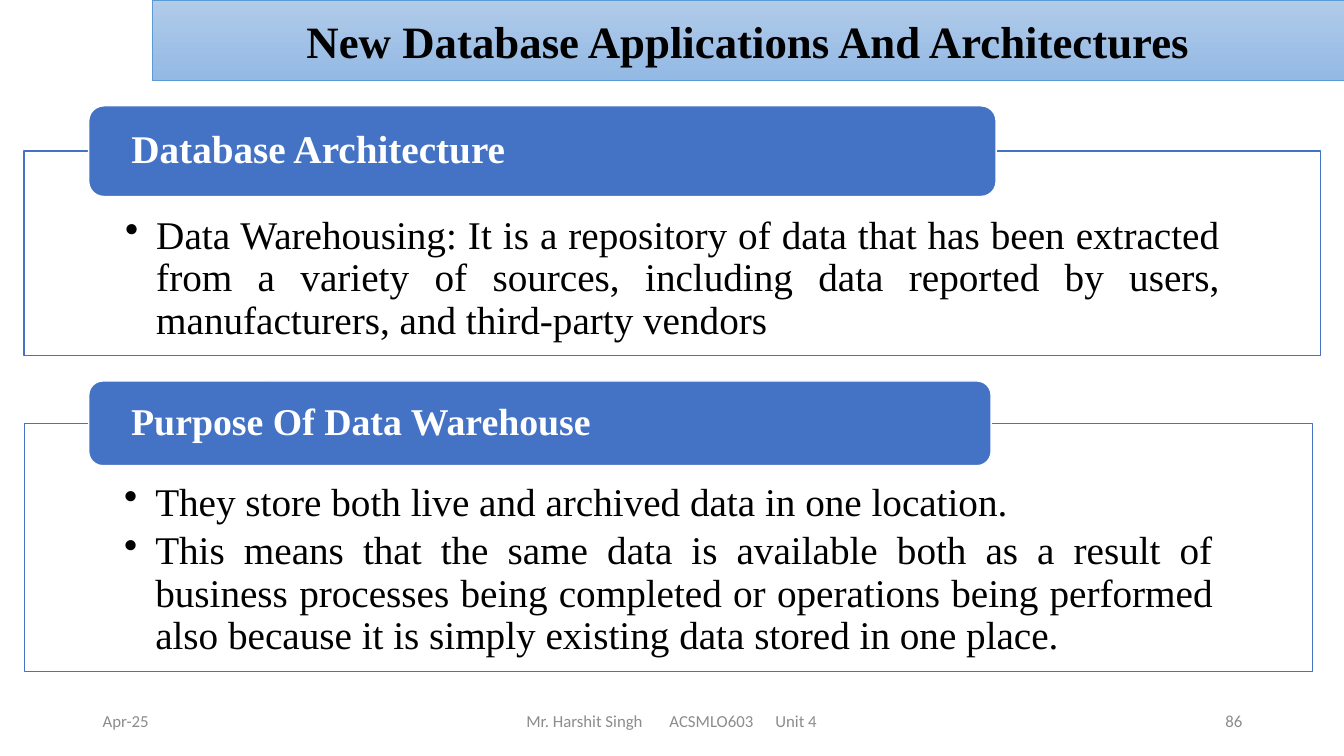
from pptx import Presentation
from pptx.dml.color import RGBColor
from pptx.enum.shapes import MSO_SHAPE
from pptx.enum.text import MSO_ANCHOR, PP_ALIGN
from pptx.oxml.ns import qn
from pptx.util import Inches, Pt
from lxml import etree

RECT, ROUNDED = MSO_SHAPE.RECTANGLE, MSO_SHAPE.ROUNDED_RECTANGLE
TOP, MIDDLE = MSO_ANCHOR.TOP, MSO_ANCHOR.MIDDLE
LEFT, CENTER, RIGHT, JUSTIFY = PP_ALIGN.LEFT, PP_ALIGN.CENTER, PP_ALIGN.RIGHT, PP_ALIGN.JUSTIFY

BLACK = RGBColor(0x00, 0x00, 0x00)
WHITE = RGBColor(0xFF, 0xFF, 0xFF)
GRAY = RGBColor(0x8C, 0x8C, 0x8C)
BLUE = RGBColor(0x44, 0x72, 0xC4)
TITLE_EDGE = RGBColor(0x5B, 0x9B, 0xD5)
TITLE_GRADIENT = (RGBColor(0xB1, 0xCB, 0xE9), RGBColor(0x93, 0xB9, 0xE4))
SERIF, SANS = "Times New Roman", "Calibri"

TITLE = "New Database Applications And Architectures"
SECTIONS = [
    {
        "heading": "Database Architecture",
        "heading_size": 28,
        "tab": (0.88, 1.05, 9, 0.9),
        "panel": (0.24, 1.5, 12.86, 2.03),
        "insets": (1, 0.64, 1, 0.22),
        "points": [
            "Data Warehousing: It is a repository of data that has been extracted from a "
            "variety of sources, including data reported by users, manufacturers, and "
            "third-party vendors",
        ],
    },
    {
        "heading": "Purpose Of Data Warehouse",
        "heading_size": 27,
        "tab": (0.88, 3.78, 8.95, 0.84),
        "panel": (0.24, 4.2, 12.78, 2.46),
        "insets": (0.99, 0.59, 0.99, 0.22),
        "points": [
            "They store both live and archived data in one location.",
            "This means that the same data is available both as a result of business "
            "processes being completed or operations being performed also because it is "
            "simply existing data stored in one place.",
        ],
    },
]
FOOTER_TOP, FOOTER_HEIGHT = 6.95, 0.4
# text, left, width, alignment, left inset, tab stops
FOOTERS = [
    ("Apr-25", 0.92, 3, LEFT, 0.1, ()),
    ("86", 9.42, 3, RIGHT, 0.1, ()),
    ("Mr. Harshit Singh\tACSMLO603\tUnit 4", 4.42, 4.5, LEFT, 0.8, (1.42, 2.47)),
]
INDENT = Inches(0.31)


def add_box(slide, kind, at, line_color, line_width):
    box = slide.shapes.add_shape(kind, *map(Inches, at))
    box.shadow.inherit = False
    box.line.color.rgb = line_color
    box.line.width = Pt(line_width)
    return box


def fill_solid(box, color):
    box.fill.solid()
    box.fill.fore_color.rgb = color


def set_frame(frame, anchor, insets):
    frame.word_wrap = True
    frame.vertical_anchor = anchor
    for side, inset in zip(("left", "top", "right", "bottom"), insets):
        setattr(frame, f"margin_{side}", Inches(inset))


def write(paragraph, text, font, align=LEFT, **spacing):
    paragraph.text = text
    paragraph.alignment = align
    for name, value in spacing.items():
        setattr(paragraph, name, value)
    for name, value in font.items():
        if name == "color":
            paragraph.font.color.rgb = value
        else:
            setattr(paragraph.font, name, value)


def add_bullet(paragraph):
    props = paragraph._p.get_or_add_pPr()
    props.set("marL", str(INDENT))
    props.set("indent", str(-INDENT))
    etree.SubElement(props, qn("a:buChar"), char="•")


def add_tab_stops(paragraph, stops):
    tabs = etree.SubElement(paragraph._p.get_or_add_pPr(), qn("a:tabLst"))
    for stop in stops:
        etree.SubElement(tabs, qn("a:tab"), pos=str(Inches(stop)), algn="l")


def add_title(slide):
    banner = add_box(slide, RECT, (1.51, 0, 11.82, 0.8), TITLE_EDGE, 0.5)
    banner.fill.gradient()
    banner.fill.gradient_angle = 270
    for stop, color in zip(banner.fill.gradient_stops, TITLE_GRADIENT):
        stop.color.rgb = color
    set_frame(banner.text_frame, MIDDLE, (0.1, 0.05, 0.1, 0.05))
    font = {"name": SERIF, "size": Pt(32), "bold": True, "color": BLACK}
    write(banner.text_frame.paragraphs[0], TITLE, font, CENTER)


def add_section(slide, section):
    panel = add_box(slide, RECT, section["panel"], BLUE, 1)
    fill_solid(panel, WHITE)
    frame = panel.text_frame
    set_frame(frame, TOP, section["insets"])
    font = {"name": SERIF, "size": Pt(28), "color": BLACK}
    for i, point in enumerate(section["points"]):
        paragraph = frame.add_paragraph() if i else frame.paragraphs[0]
        add_bullet(paragraph)
        write(paragraph, point, font, JUSTIFY, line_spacing=0.9, space_after=Pt(4.2))

    tab = add_box(slide, ROUNDED, section["tab"], WHITE, 1)
    fill_solid(tab, BLUE)
    set_frame(tab.text_frame, MIDDLE, (0.38, 0, 0.38, 0))
    font = {"name": SERIF, "size": Pt(section["heading_size"]), "bold": True, "color": WHITE}
    write(tab.text_frame.paragraphs[0], section["heading"], font, line_spacing=0.9)


def add_footer(slide, text, left, width, align, inset, stops):
    at = (left, FOOTER_TOP, width, FOOTER_HEIGHT)
    frame = slide.shapes.add_textbox(*map(Inches, at)).text_frame
    set_frame(frame, MIDDLE, (inset, 0.05, 0.1, 0.05))
    paragraph = frame.paragraphs[0]
    if stops:
        add_tab_stops(paragraph, stops)
    write(paragraph, text, {"name": SANS, "size": Pt(12), "color": GRAY}, align)


def main():
    deck = Presentation()
    deck.slide_width, deck.slide_height = Inches(13.33), Inches(7.5)
    slide = deck.slides.add_slide(deck.slide_layouts[6])
    add_title(slide)
    for section in SECTIONS:
        add_section(slide, section)
    for footer in FOOTERS:
        add_footer(slide, *footer)
    deck.save("out.pptx")


if __name__ == "__main__":
    main()
